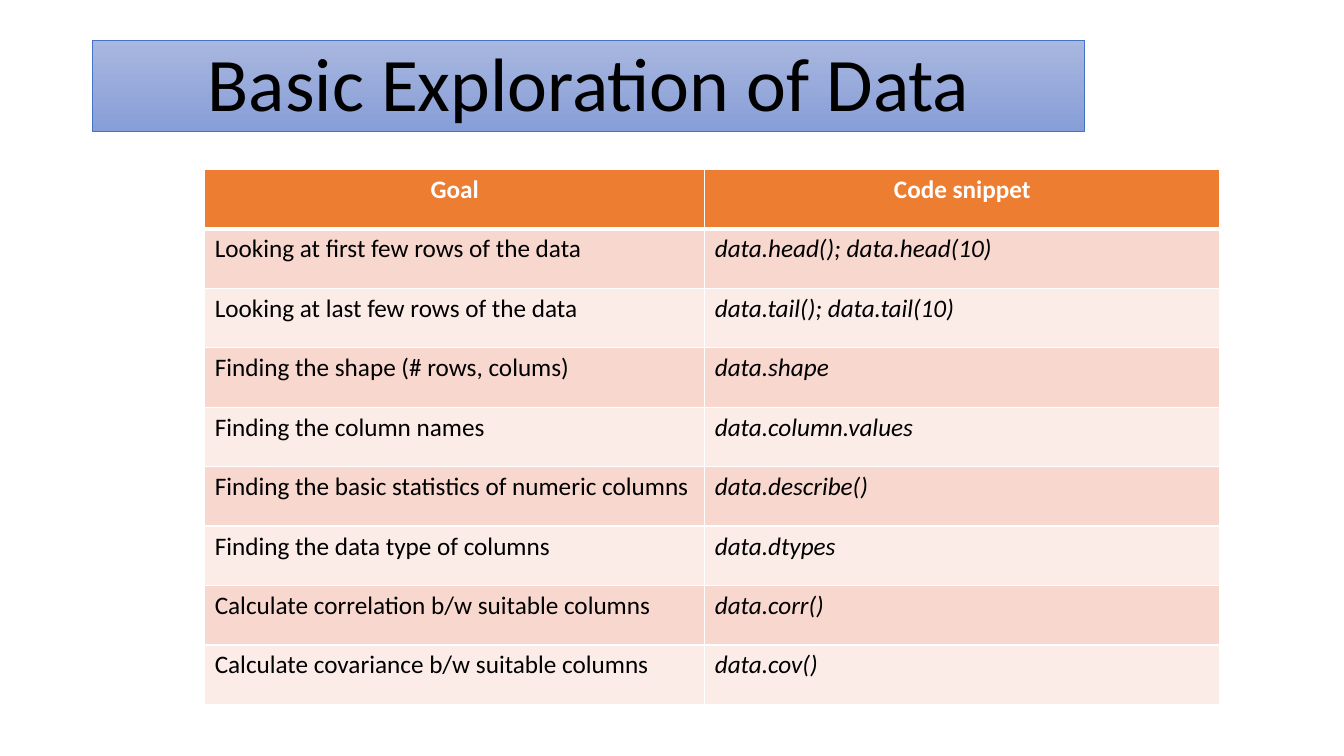
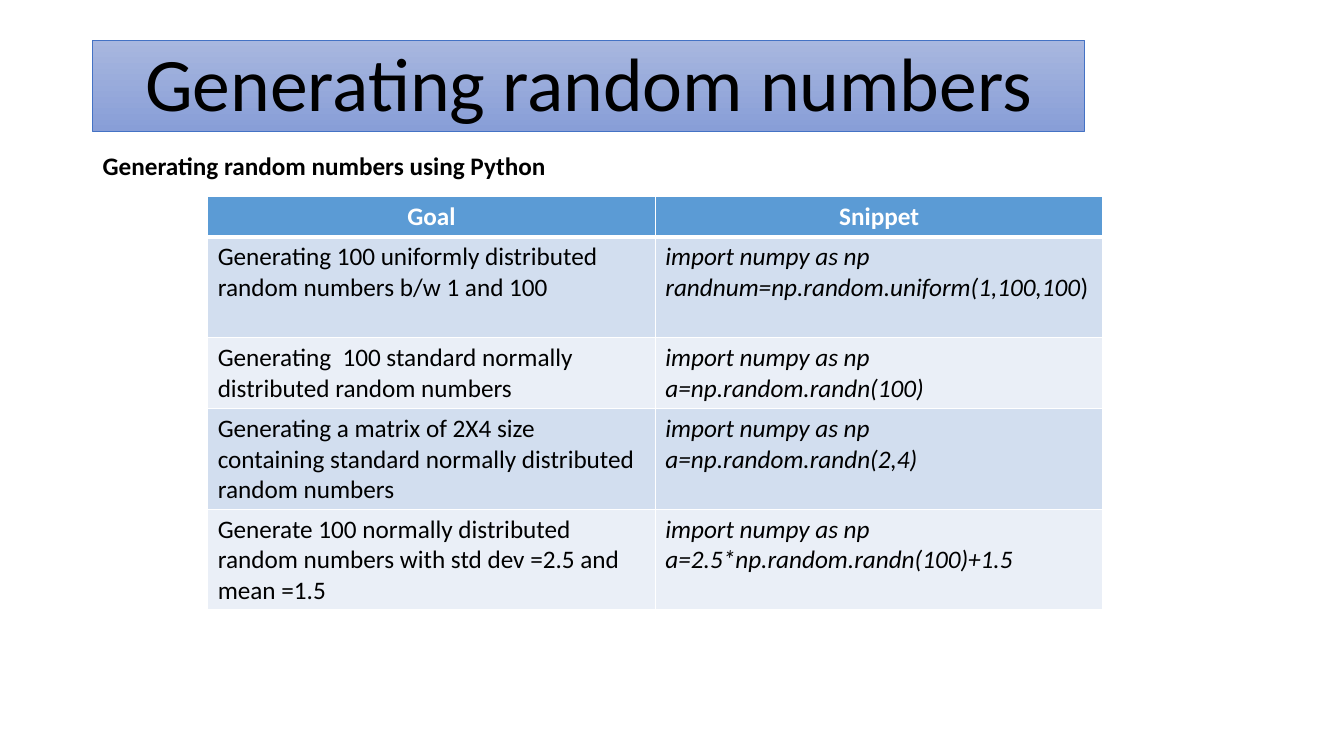
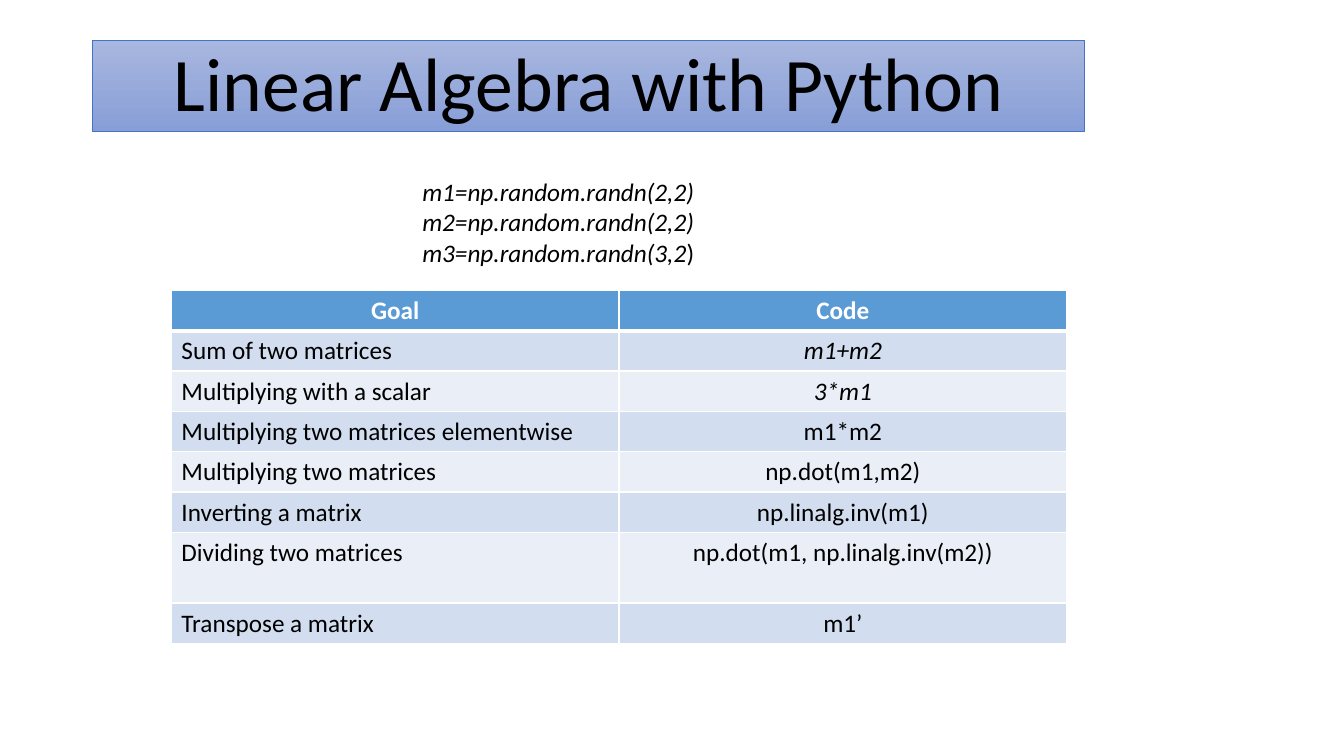
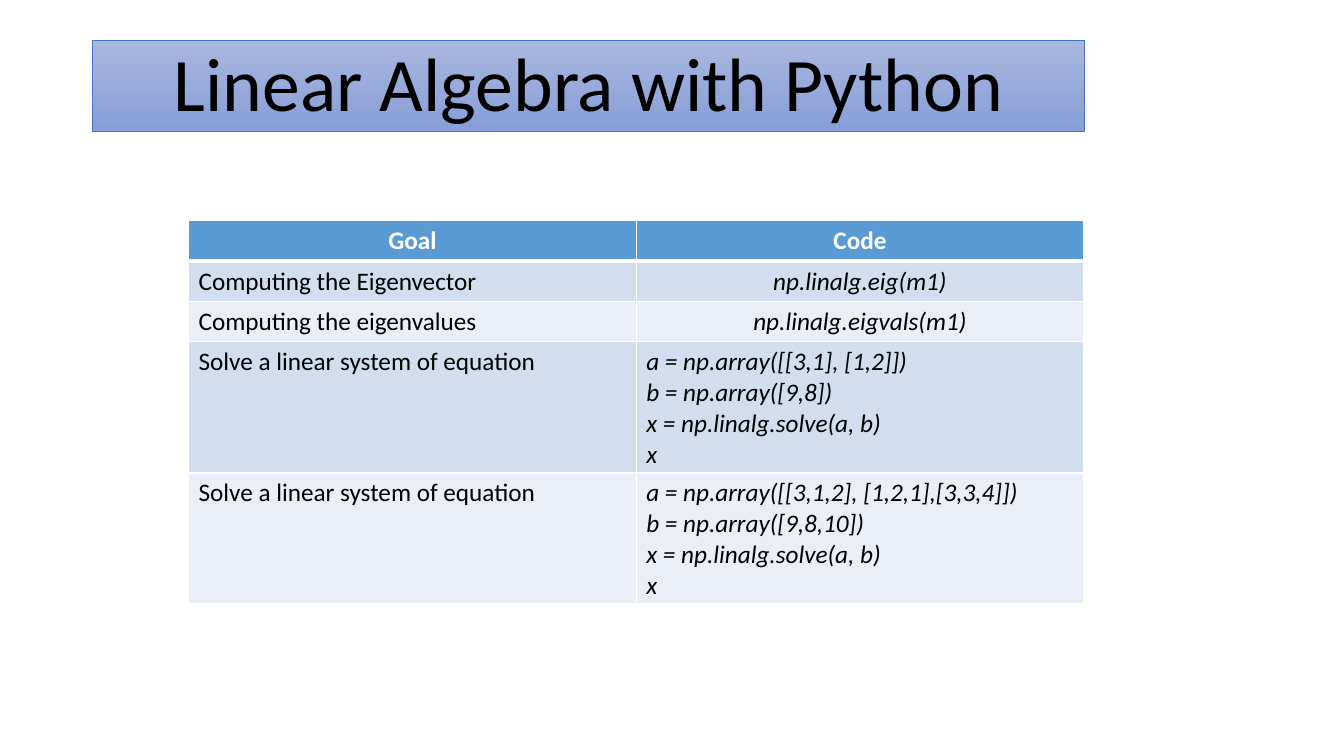
from typing import NamedTuple

from lxml.etree import SubElement
from pptx import Presentation
from pptx.dml.color import RGBColor
from pptx.enum.shapes import MSO_SHAPE
from pptx.enum.text import MSO_ANCHOR, PP_ALIGN
from pptx.oxml import parse_xml
from pptx.oxml.ns import nsdecls, qn
from pptx.util import Pt

# Shared style: 100 px to the inch
EMU_PER_PX = 9144
FONT = "Calibri"
BLACK, WHITE = "000000", "FFFFFF"
BAND_TOP, BAND_BOTTOM, BAND_LINE = "A8B7DF", "889ED7", "4472C4"
# Table themes: header, odd rows, even rows
ORANGE = ("ED7D31", "F8D7CE", "FCECE8")
BLUE = ("5B9BD5", "D2DEEF", "EAEFF7")
LEFT, CENTER = PP_ALIGN.LEFT, PP_ALIGN.CENTER


class Entry(NamedTuple):
    """Cell text; a line given as a pair ends in an upright part."""
    lines: list
    align: PP_ALIGN = LEFT
    italic: bool = False
    bold: bool = False
    color: str = BLACK


def px(length):
    return length * EMU_PER_PX


def rgb(color):
    return RGBColor.from_string(color)


def goal(text):
    return Entry([text])


def code(*lines):
    return Entry(lines, italic=True)


def centered_code(text, italic=True):
    return Entry([text], CENTER, italic)


def heading(text):
    return Entry([text], CENTER, bold=True, color=WHITE)


# Text
def add_run(paragraph, text, size=18, color=BLACK, bold=False, italic=False):
    run = paragraph.add_run()
    run.text = text
    font = run.font
    font.name, font.size = FONT, Pt(size)
    font.bold, font.italic = bold, italic
    font.color.rgb = rgb(color)


def write(frame, entry):
    for number, line in enumerate(entry.lines):
        paragraph = frame.add_paragraph() if number else frame.paragraphs[0]
        paragraph.alignment = entry.align
        main_part, upright = line if isinstance(line, tuple) else (line, "")
        add_run(paragraph, main_part, color=entry.color, bold=entry.bold, italic=entry.italic)
        if upright:
            add_run(paragraph, upright, color=entry.color, bold=entry.bold)


def add_note(slide, left, top, width, height, entry):
    note = slide.shapes.add_textbox(px(left), px(top), px(width), px(height))
    note.text_frame.word_wrap = True
    write(note.text_frame, entry)


# Slide with its title band
def add_titled_slide(deck, title):
    slide = deck.slides.add_slide(deck.slide_layouts[6])
    band = slide.shapes.add_shape(MSO_SHAPE.RECTANGLE, px(92), px(40), px(984), px(90))
    band.shadow.inherit = False
    band.fill.gradient()
    band.fill.gradient_angle = 270
    for stop, color in zip(band.fill.gradient_stops, (BAND_TOP, BAND_BOTTOM)):
        stop.color.rgb = rgb(color)
    band.line.color.rgb = rgb(BAND_LINE)
    band.line.width = Pt(0.5)
    frame = band.text_frame
    frame.word_wrap = True
    frame.vertical_anchor = MSO_ANCHOR.BOTTOM
    paragraph = frame.paragraphs[0]
    paragraph.alignment = CENTER
    paragraph.line_spacing = 0.8
    add_run(paragraph, title, size=54)
    return slide


# Tables
def set_borders(cell, row):
    """White rules, thicker between the header and the body."""
    thick_side = {0: "B", 1: "T"}.get(row)
    properties = cell._tc.get_or_add_tcPr()
    for position, side in enumerate("LRTB"):
        width = Pt(3 if side == thick_side else 1)
        border = parse_xml(f'<a:ln{side} {nsdecls("a")} w="{width}"/>')
        fill = SubElement(border, qn("a:solidFill"))
        SubElement(fill, qn("a:srgbClr"), val=WHITE)
        properties.insert(position, border)


def lines_high(*counts):
    """Row heights for rows that hold these numbers of text lines."""
    return [10 + 30 * count for count in counts]


def add_goal_table(slide, left, top, widths, heights, theme, code_title, body):
    rows = [(heading("Goal"), heading(code_title)), *body]
    table = slide.shapes.add_table(len(rows), len(widths), px(left), px(top),
                                   px(sum(widths)), px(sum(heights))).table
    for column, width in zip(table.columns, widths):
        column.width = px(width)
    header, odd, even = theme
    for r, (entries, height) in enumerate(zip(rows, heights)):
        table.rows[r].height = px(height)
        shade = header if r == 0 else odd if r % 2 else even
        for c, entry in enumerate(entries):
            cell = table.cell(r, c)
            cell.fill.solid()
            cell.fill.fore_color.rgb = rgb(shade)
            set_borders(cell, r)
            write(cell.text_frame, entry)


# Slides
def add_exploration(deck):
    slide = add_titled_slide(deck, "Basic Exploration of Data")
    snippets = [
        ("Looking at first few rows of the data", "data.head(); data.head(10)"),
        ("Looking at last few rows of the data", "data.tail(); data.tail(10)"),
        ("Finding the shape (# rows, colums)", "data.shape"),
        ("Finding the column names", "data.column.values"),
        ("Finding the basic statistics of numeric columns", "data.describe()"),
        ("Finding the data type of columns", "data.dtypes"),
        ("Calculate correlation b/w suitable columns", "data.corr()"),
        ("Calculate covariance b/w suitable columns", "data.cov()"),
    ]
    body = [(goal(aim), code(snippet)) for aim, snippet in snippets]
    add_goal_table(slide, 203, 168, (496, 511), [59] * 9, ORANGE, "Code snippet", body)


def add_random_numbers(deck):
    slide = add_titled_slide(deck, "Generating random numbers")
    add_note(slide, 92, 144, 1003, 71,
             Entry(["Generating random numbers using Python"], bold=True))
    snippets = [
        ("Generating 100 uniformly distributed random numbers b/w 1 and 100",
         ("randnum=np.random.uniform(1,100,100", ")")),
        ("Generating  100 standard normally distributed random numbers",
         "a=np.random.randn(100)"),
        ("Generating a matrix of 2X4 size containing standard normally distributed "
         "random numbers", "a=np.random.randn(2,4)"),
        ("Generate 100 normally distributed random numbers with std dev =2.5 and mean =1.5",
         "a=2.5*np.random.randn(100)+1.5"),
    ]
    body = [(goal(aim), code("import numpy as np", snippet)) for aim, snippet in snippets]
    add_goal_table(slide, 206, 195, (444, 444), lines_high(1, 3, 2, 3, 3),
                   BLUE, "Snippet", body)


def add_matrix_operations(deck):
    slide = add_titled_slide(deck, "Linear Algebra with Python")
    add_note(slide, 409, 170, 667, 101,
             code("m1=np.random.randn(2,2)", "m2=np.random.randn(2,2)",
                  ("m3=np.random.randn(3,2", ")")))
    operations = [
        ("Sum of two matrices", "m1+m2", True),
        ("Multiplying with a scalar", "3*m1", True),
        ("Multiplying two matrices elementwise", "m1*m2", False),
        ("Multiplying two matrices", "np.dot(m1,m2)", False),
        ("Inverting a matrix", "np.linalg.inv(m1)", False),
        ("Dividing two matrices", "np.dot(m1, np.linalg.inv(m2))", False),
        ("Transpose a matrix", "m1’", False),
    ]
    body = [(goal(aim), centered_code(text, italic)) for aim, text, italic in operations]
    add_goal_table(slide, 170, 288, (444, 444), lines_high(1, 1, 1, 1, 1, 1, 2, 1),
                   BLUE, "Code", body)


def add_equations(deck):
    slide = add_titled_slide(deck, "Linear Algebra with Python")
    body = [
        (goal("Computing the Eigenvector"), centered_code("np.linalg.eig(m1)")),
        (goal("Computing the eigenvalues"), centered_code("np.linalg.eigvals(m1)")),
    ]
    systems = [("[[3,1], [1,2]]", "[9,8]"), ("[[3,1,2], [1,2,1],[3,3,4]]", "[9,8,10]")]
    for matrix, vector in systems:
        solution = code(f"a = np.array({matrix})", f"b = np.array({vector})",
                        "x = np.linalg.solve(a, b)", "x")
        body.append((goal("Solve a linear system of equation"), solution))
    add_goal_table(slide, 187, 219, (444, 444), lines_high(1, 1, 1, 4, 4),
                   BLUE, "Code", body)


def main():
    deck = Presentation()
    deck.slide_width, deck.slide_height = px(1333), px(750)
    add_exploration(deck)
    add_random_numbers(deck)
    add_matrix_operations(deck)
    add_equations(deck)
    deck.save("out.pptx")


if __name__ == "__main__":
    main()
